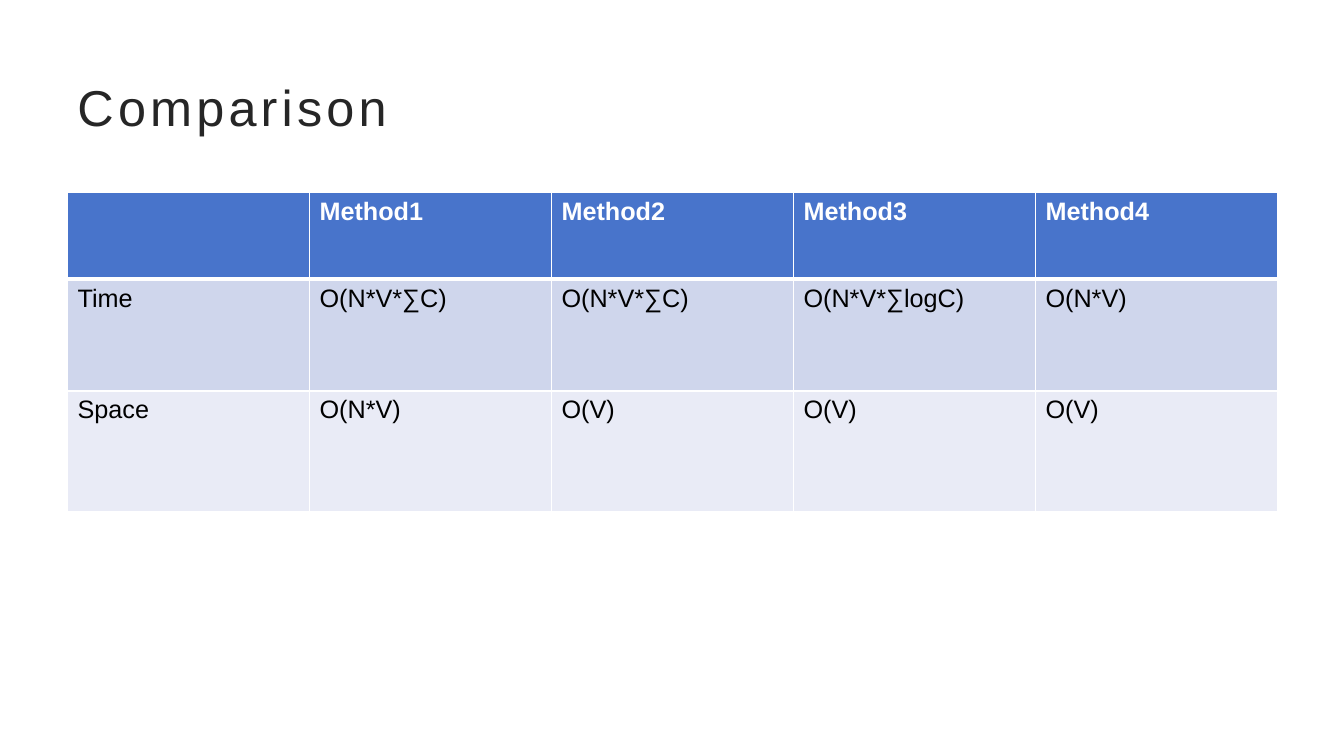
from dataclasses import dataclass

from lxml.etree import SubElement
from pptx import Presentation
from pptx.dml.color import RGBColor as RGB
from pptx.enum.text import MSO_ANCHOR as Anchor
from pptx.oxml.ns import qn
from pptx.util import Pt


@dataclass(frozen=True)
class Theme:
    font: str = "Arial"
    title_size: int = 36
    cell_size: int = 18
    title: str = "262626"
    head_text: str = "FFFFFF"
    body_text: str = "000000"
    border: str = "FFFFFF"
    fills: tuple = ("4874CB", "CFD6EC", "E9EBF6")


theme = Theme()
PX = 9144
LEFT, WIDTH = 67, 1200
TABLE_TOP = 191
ROW_HEIGHTS = [86, 111, 120]
ROWS = [
    ["", "Method1", "Method2", "Method3", "Method4"],
    ["Time", "O(N*V*∑C)", "O(N*V*∑C)", "O(N*V*∑logC)", "O(N*V)"],
    ["Space", "O(N*V)", "O(V)", "O(V)", "O(V)"],
]


def add_run(p, text, size, color, bold=False):
    r = p.add_run()
    r.text = text
    r.font.name = theme.font
    r.font.size = Pt(size)
    r.font.bold = bold
    r.font.color.rgb = RGB.from_string(color)
    return r


def set_borders(cell, widths):
    tcPr = cell._tc.get_or_add_tcPr()
    for i, (side, width) in enumerate(widths.items()):
        ln = tcPr.makeelement(qn(f"a:ln{side}"), {"w": str(Pt(width))})
        fill = SubElement(ln, qn("a:solidFill"))
        SubElement(fill, qn("a:srgbClr"), val=theme.border)
        tcPr.insert(i, ln)


prs = Presentation()
prs.slide_width = 1333 * PX
prs.slide_height = 750 * PX
s = prs.slides.add_slide(prs.slide_layouts[6])

sp = s.shapes.add_textbox(LEFT * PX, 67 * PX, WIDTH * PX, 77 * PX)
tf = sp.text_frame
tf.word_wrap = True
tf.vertical_anchor = Anchor.MIDDLE
r = add_run(tf.paragraphs[0], "Comparison", theme.title_size, theme.title)
r.font._element.set("spc", "300")

table = s.shapes.add_table(
    len(ROWS), len(ROWS[0]), LEFT * PX, TABLE_TOP * PX, WIDTH * PX, sum(ROW_HEIGHTS) * PX
).table
for col in table.columns:
    col.width = WIDTH // len(ROWS[0]) * PX

for i, (height, fill, texts) in enumerate(zip(ROW_HEIGHTS, theme.fills, ROWS)):
    table.rows[i].height = height * PX
    head = i == 0
    color = theme.head_text if head else theme.body_text
    borders = {"L": 1, "R": 1, "T": 3 if i == 1 else 1, "B": 3 if head else 1}
    for j, text in enumerate(texts):
        cell = table.cell(i, j)
        cell.fill.solid()
        cell.fill.fore_color.rgb = RGB.from_string(fill)
        set_borders(cell, borders)
        if text:
            add_run(cell.text_frame.paragraphs[0], text, theme.cell_size, color, head)

prs.save("out.pptx")
